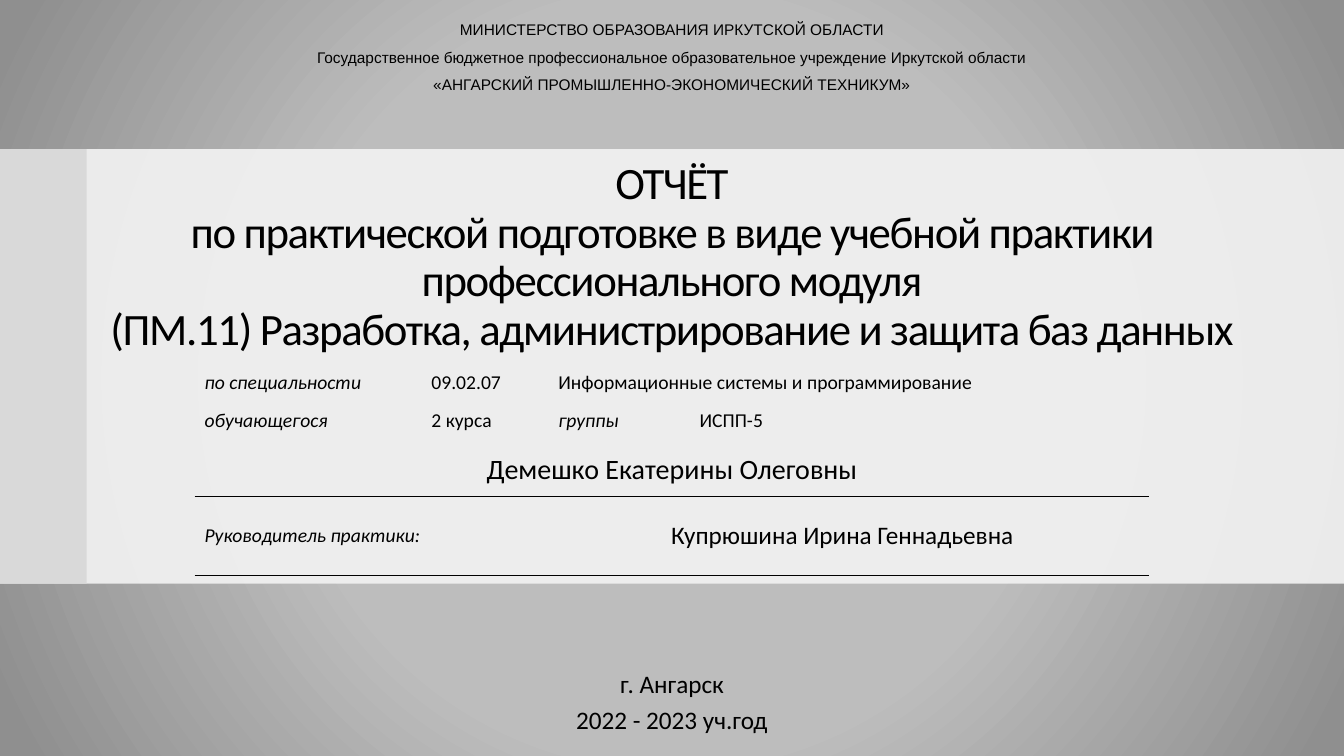
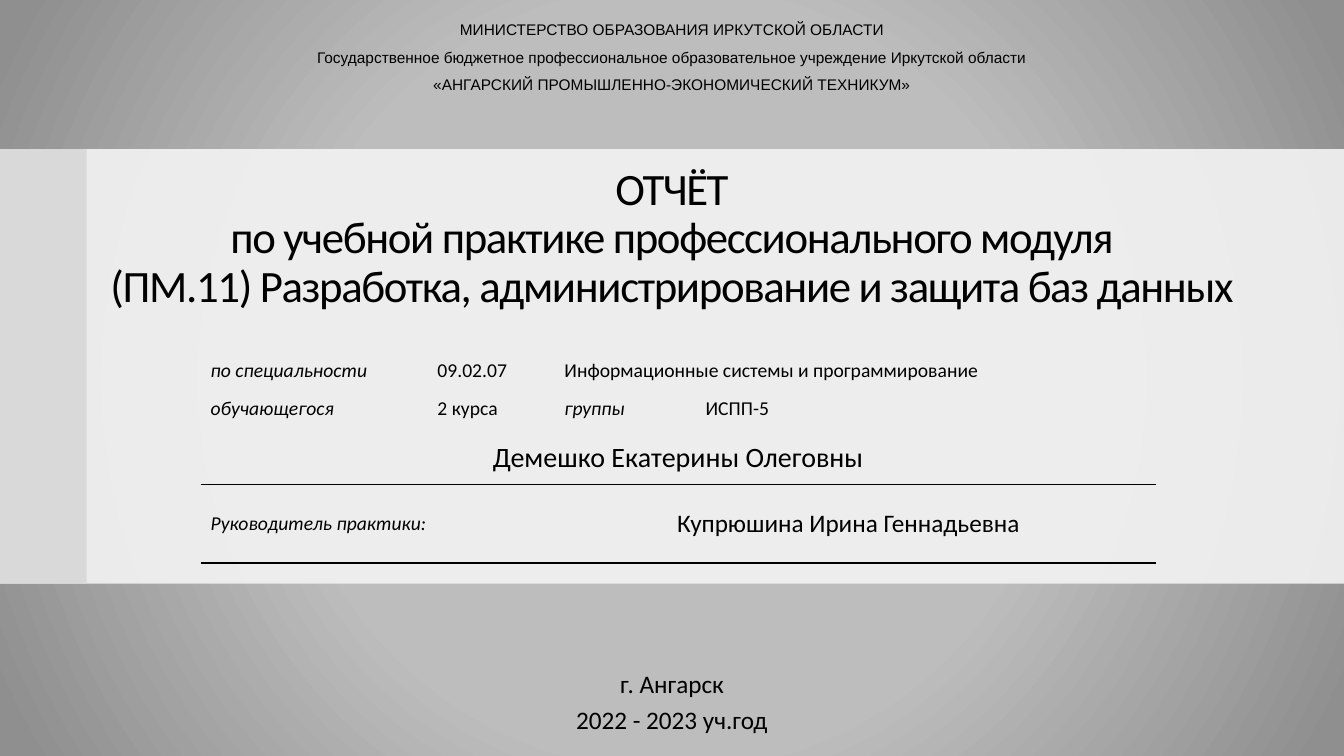
"""Builds two title slides of a practical training report."""
import lxml.etree
import pptx
import pptx.dml.color
import pptx.enum.shapes
import pptx.enum.text
import pptx.oxml
import pptx.oxml.ns
import pptx.util

Pt = pptx.util.Pt
CENTER = pptx.enum.text.PP_ALIGN.CENTER
LEFT = pptx.enum.text.PP_ALIGN.LEFT
MIDDLE = pptx.enum.text.MSO_ANCHOR.MIDDLE
TOP = pptx.enum.text.MSO_ANCHOR.TOP

WIDTH, HEIGHT = 960, 540
BAND_TOP, BAND_HEIGHT = 106.56, 310.32
BLACK, BAND, STRIPE = "000000", "F2F2F2", "D9D9D9"
BACKDROP = ((0, "BFBFBF"), (49, "BDBDBD"), (97, "8F8F8F"))
PLAIN_TABLE = "{2D5ABB26-0587-4C30-8999-92F81FD0307C}"
COLUMNS = (162, 81.36, 9.36, 100.8, 328.6)
ROWS = (27.36, 27.36, 38.88, 55.92)

INSTITUTION = (
    "МИНИСТЕРСТВО ОБРАЗОВАНИЯ ИРКУТСКОЙ ОБЛАСТИ\n"
    "Государственное бюджетное профессиональное образовательное учреждение Иркутской области\n"
    "«АНГАРСКИЙ ПРОМЫШЛЕННО-ЭКОНОМИЧЕСКИЙ ТЕХНИКУМ»"
)
PLACE_AND_YEAR = "г. Ангарск\n2022 - 2023 уч.год"
REPORT = "ОТЧЁТ\v{}\v(ПМ.11) Разработка, администрирование и защита баз данных"
DETAILS = (
    (0, 0, 0, "по специальности", 14, True, LEFT),
    (0, 1, 2, "09.02.07", 14, False, LEFT),
    (0, 3, 4, "Информационные системы и программирование", 14, False, LEFT),
    (1, 0, 0, "обучающегося", 14, True, LEFT),
    (1, 1, 2, "2 курса", 14, False, LEFT),
    (1, 3, 3, "группы", 14, True, LEFT),
    (1, 4, 4, "ИСПП-5", 14, False, LEFT),
    (2, 0, 4, "Демешко Екатерины Олеговны", 20, False, CENTER),
    (3, 0, 1, "Руководитель практики:", 14, True, LEFT),
    (3, 2, 4, "Купрюшина Ирина Геннадьевна", 18, False, CENTER),
)
SLIDES = (
    ("по практической подготовке в виде учебной практики профессионального модуля",
     155.52, 138.96, 261.36),
    ("по учебной практике профессионального модуля", 128.88, 143.28, 252.72),
)


def color(value):
    """Return the colour for a hex string."""
    return pptx.dml.color.RGBColor.from_string(value)


def set_backdrop(master):
    """Give the master a round gradient background."""
    master.background.fill.solid()
    solid = master.element.xpath("./p:cSld/p:bg/p:bgPr/a:solidFill")[0]
    stops = "".join(
        f'<a:gs pos="{place * 1000}"><a:srgbClr val="{value}"/></a:gs>'
        for place, value in BACKDROP
    )
    gradient = pptx.oxml.parse_xml(
        f'<a:gradFill {pptx.oxml.ns.nsdecls("a")} rotWithShape="1"><a:gsLst>{stops}</a:gsLst>'
        '<a:path path="circle"><a:fillToRect l="50000" t="50000" r="50000" b="50000"/>'
        "</a:path></a:gradFill>"
    )
    solid.getparent().replace(solid, gradient)


def add_band(slide, width, fill, opacity=100):
    """Add a rectangle as tall as the middle band."""
    band = slide.shapes.add_shape(
        pptx.enum.shapes.MSO_SHAPE.RECTANGLE, 0, Pt(BAND_TOP), Pt(width), Pt(BAND_HEIGHT)
    )
    band.shadow.inherit = False
    band.line.fill.background()
    band.fill.solid()
    band.fill.fore_color.rgb = color(fill)
    if opacity < 100:
        tone = band.element.xpath("./p:spPr/a:solidFill/a:srgbClr")[0]
        alpha = lxml.etree.SubElement(tone, pptx.oxml.ns.qn("a:alpha"))
        alpha.set("val", str(opacity * 1000))
    return band


def format_runs(paragraph, size, font="Calibri", italic=False, tracking=0):
    """Format every run of a paragraph."""
    for run in paragraph.runs:
        run.font.size = Pt(size)
        run.font.name = font
        run.font.italic = italic
        run.font.color.rgb = color(BLACK)
        if tracking:
            run.font._element.set("spc", str(tracking * 100))


def fill_text(holder, top, height, text, size, spacing, font="Calibri", tracking=0):
    """Place a full-width holder and fill it with centred text."""
    holder.left, holder.top = 0, Pt(top)
    holder.width, holder.height = Pt(WIDTH), Pt(height)
    frame = holder.text_frame
    frame.text = text
    frame.word_wrap = True
    frame.auto_size = pptx.enum.text.MSO_AUTO_SIZE.NONE
    frame.vertical_anchor = MIDDLE
    for paragraph in frame.paragraphs:
        paragraph.alignment = CENTER
        paragraph.line_spacing = spacing
        paragraph.space_before = Pt(0)
        format_runs(paragraph, size, font, tracking=tracking)


def rule_cell(cell, sides):
    """Draw black rules on the named sides of a cell."""
    properties = cell._tc.get_or_add_tcPr()
    for position, side in enumerate(sides):
        properties.insert(position, pptx.oxml.parse_xml(
            f'<a:{side} {pptx.oxml.ns.nsdecls("a")} w="12700"><a:solidFill>'
            f'<a:srgbClr val="{BLACK}"/></a:solidFill></a:{side}>'
        ))


def add_details(slide, left, top):
    """Add the table of student and supervisor details."""
    frame = slide.shapes.add_table(
        len(ROWS), len(COLUMNS), Pt(left), Pt(top), Pt(sum(COLUMNS)), Pt(sum(ROWS))
    )
    table = frame.table
    table.first_row = table.horz_banding = False
    frame.element.xpath(".//a:tableStyleId")[0].text = PLAIN_TABLE
    for column, width in zip(table.columns, COLUMNS):
        column.width = Pt(width)
    for row, height in zip(table.rows, ROWS):
        row.height = Pt(height)
    for cell in table.iter_cells():
        cell.fill.background()
    for column in range(len(COLUMNS)):
        rule_cell(table.cell(2, column), ("lnB",))
        rule_cell(table.cell(3, column), ("lnT", "lnB"))
    for row, first, last, text, size, italic, alignment in DETAILS:
        cell = table.cell(row, first)
        if last > first:
            cell.merge(table.cell(row, last))
        cell.text_frame.text = text
        cell.vertical_anchor = MIDDLE if row > 1 else TOP
        paragraph = cell.text_frame.paragraphs[0]
        paragraph.alignment = alignment
        format_runs(paragraph, size, italic=italic)


def add_report_slide(deck, subject, title_height, table_left, table_top):
    """Add one report title slide."""
    slide = deck.slides.add_slide(deck.slide_layouts[0])
    band = add_band(slide, WIDTH, BAND, 92)
    slide.shapes._spTree.insert(2, band.element)
    title, institution = slide.placeholders
    fill_text(institution, 1.44, 72, INSTITUTION, 11, 1.5, "Arial")
    fill_text(title, BAND_TOP, title_height, REPORT.format(subject), 32, 0.9, tracking=-1)
    footer = slide.shapes.add_textbox(0, 0, Pt(WIDTH), Pt(HEIGHT))
    fill_text(footer, 472.32, 53.28, PLACE_AND_YEAR, 18, 1.2)
    add_details(slide, table_left, table_top)
    add_band(slide, 61.92, STRIPE)


def main():
    """Build and save the deck."""
    deck = pptx.Presentation()
    deck.slide_width, deck.slide_height = Pt(WIDTH), Pt(HEIGHT)
    set_backdrop(deck.slide_master)
    for content in SLIDES:
        add_report_slide(deck, *content)
    deck.save("out.pptx")


main()
